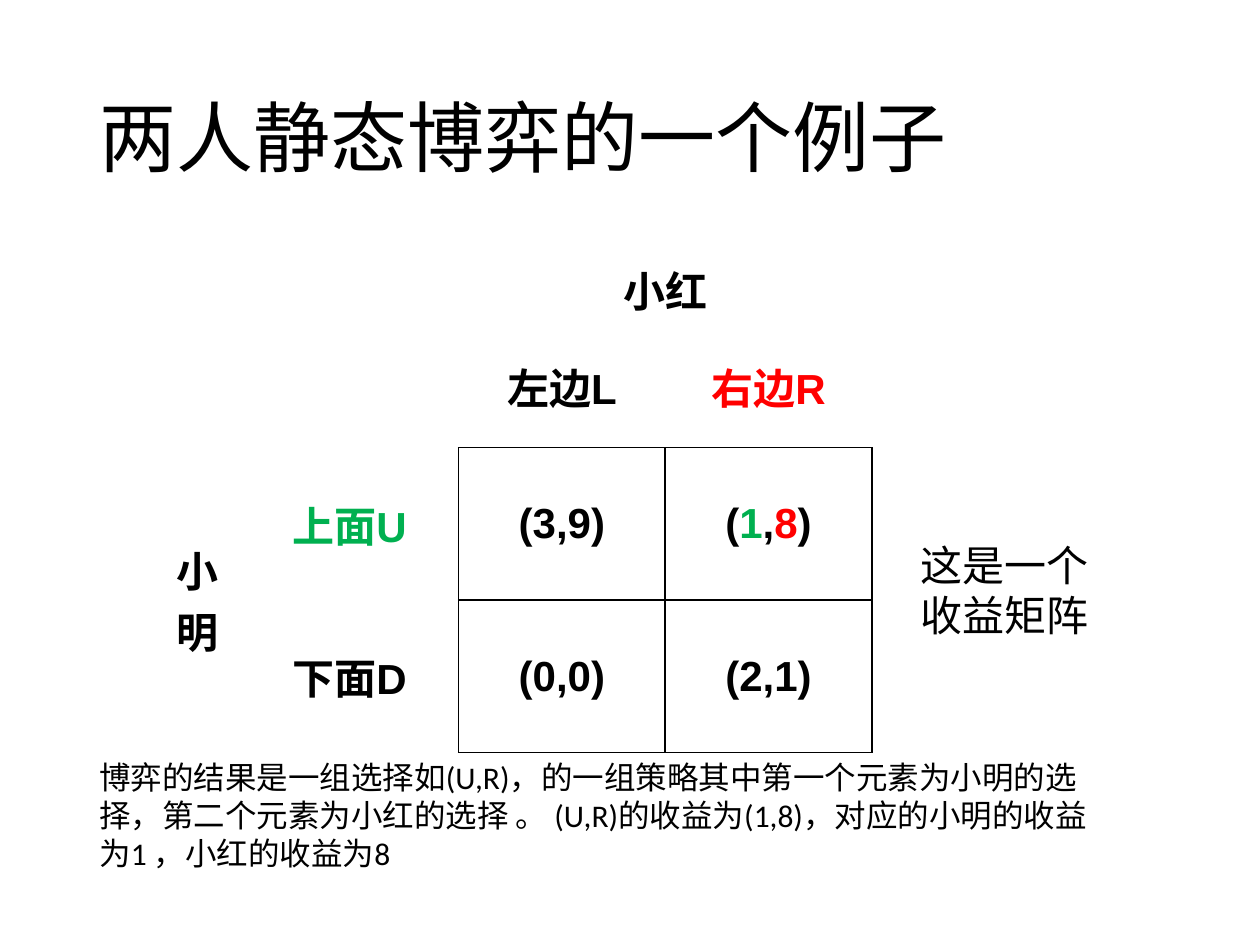
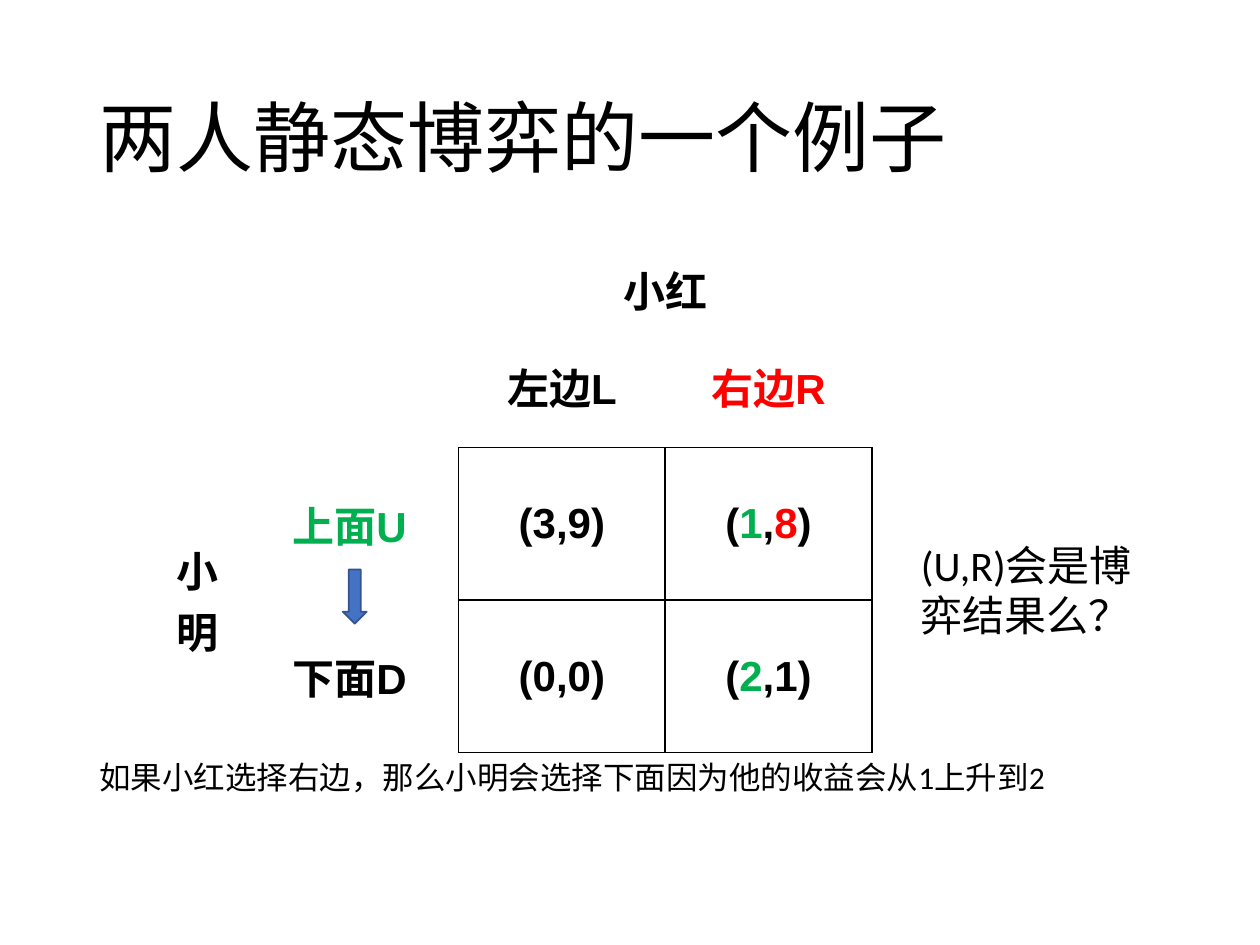
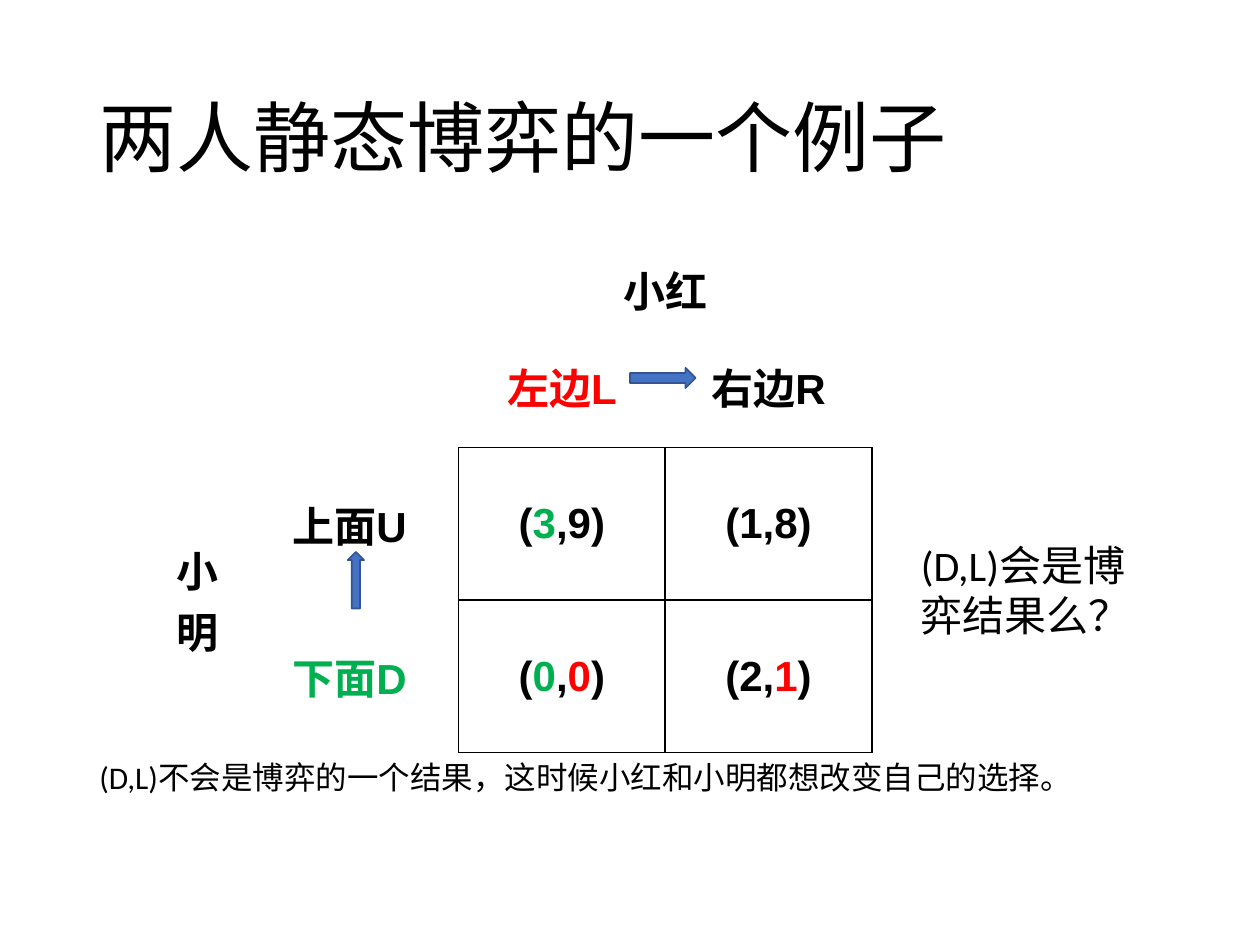
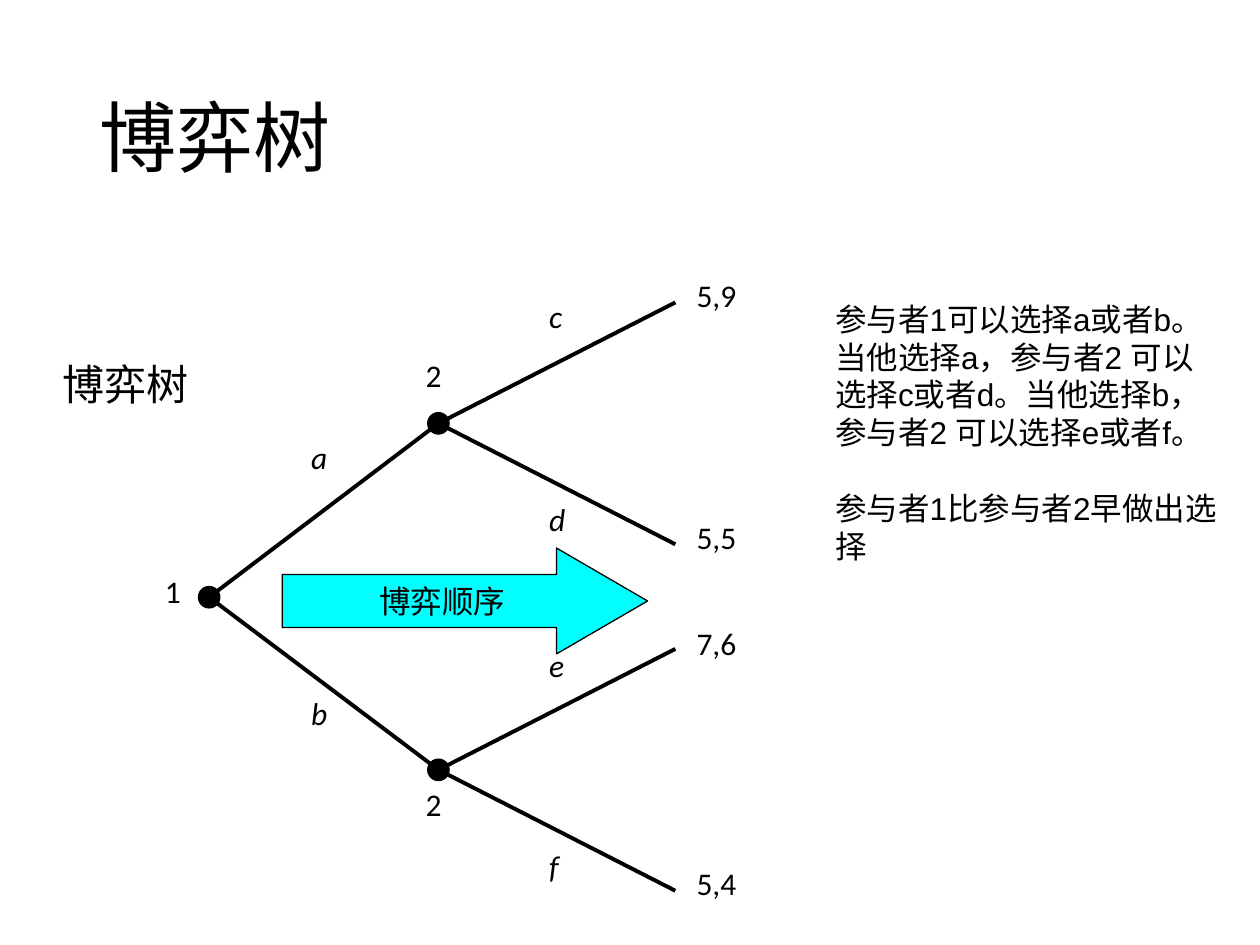
from collections import namedtuple

from lxml import etree
from pptx import Presentation
from pptx.dml.color import RGBColor
from pptx.enum import shapes, text
from pptx.oxml import ns
from pptx.util import Inches, Pt

BLACK = RGBColor(0x00, 0x00, 0x00)
RED = RGBColor(0xFF, 0x00, 0x00)
GREEN = RGBColor(0x00, 0xB0, 0x50)
CYAN = RGBColor(0x00, 0xFF, 0xFF)
ARROW_FILL = RGBColor(0x44, 0x72, 0xC4)
ARROW_LINE = RGBColor(0x32, 0x54, 0x91)

BODY_FONT = "Calibri"
TABLE_FONT = "Arial"
GAME_TITLE = "两人静态博弈的一个例子"

Box = namedtuple("Box", "left top width height")
TITLE_BOX = Box(0.69, 0.4, 8.62, 1.45)
MATRIX_BOX = Box(1.23, 2, 5.69, 3.88)
TREE_BOX = Box(0.4, 2.14, 5.7, 5.17)
COLUMN_WIDTHS = (0.68, 1.73, 1.64, 1.64)
ROW_HEIGHTS = (0.49, 0.97, 1.21, 1.21)
NODE_SIZE = 0.17

DOWN = shapes.MSO_SHAPE.DOWN_ARROW, Box(1.49, 2.52, 0.19, 0.43)
UP = shapes.MSO_SHAPE.UP_ARROW, Box(1.53, 2.38, 0.13, 0.45)
RIGHT = shapes.MSO_SHAPE.RIGHT_ARROW, Box(3.77, 0.92, 0.52, 0.16)


def inches(box):
    """Turn a box in inches into slide lengths."""
    return [Inches(length) for length in box]


def inside(outer, box):
    """Move a box so that it is measured from the corner of another."""
    return Box(outer.left + box.left, outer.top + box.top, box.width, box.height)


def add_run(paragraph, words, size, font=BODY_FONT, color=BLACK, bold=False, italic=False):
    """Add one formatted run."""
    run = paragraph.add_run()
    run.text = words
    run.font.size = Pt(size)
    run.font.name = font
    run.font.color.rgb = color
    run.font.bold = bold
    run.font.italic = italic


def add_text(slide, box, *lines, size=18, wrap=True, space=0, **style):
    """Add a text box with one paragraph per line and space before the last."""
    frame = slide.shapes.add_textbox(*inches(box)).text_frame
    frame.word_wrap = wrap
    frame.auto_size = text.MSO_AUTO_SIZE.SHAPE_TO_FIT_TEXT
    for index, line in enumerate(lines):
        paragraph = frame.add_paragraph() if index else frame.paragraphs[0]
        add_run(paragraph, line, size, **style)
    frame.paragraphs[-1].space_before = Pt(space)


def add_shape(slide, kind, box, fill, line, line_width):
    """Add a flat preset shape."""
    shape = slide.shapes.add_shape(kind, *inches(box))
    shape.shadow.inherit = False
    shape.fill.solid()
    shape.fill.fore_color.rgb = fill
    shape.line.color.rgb = line
    shape.line.width = Pt(line_width)
    return shape


def add_titled_slide(presentation, title):
    """Add a title-only slide in the shared title style."""
    slide = presentation.slides.add_slide(presentation.slide_layouts[5])
    shape = slide.shapes.title
    shape.left, shape.top, shape.width, shape.height = inches(TITLE_BOX)
    frame = shape.text_frame
    frame.auto_size = text.MSO_AUTO_SIZE.NONE
    frame.vertical_anchor = text.MSO_ANCHOR.MIDDLE
    paragraph = frame.paragraphs[0]
    paragraph.alignment = text.PP_ALIGN.LEFT
    paragraph.line_spacing = 0.9
    add_run(paragraph, title, 44)
    return slide


def add_borders(cell, sides):
    """Draw thin black borders on the named sides of a cell."""
    properties = cell._tc.get_or_add_tcPr()
    for side in sides:
        line = etree.SubElement(properties, ns.qn(f"a:ln{side}"), w=str(Pt(1)))
        fill = etree.SubElement(line, ns.qn("a:solidFill"))
        etree.SubElement(fill, ns.qn("a:srgbClr"), val=str(BLACK))


def cell_borders(row, column):
    """Name the bordered sides of a cell in the payoff table."""
    if row >= 2 and column >= 2:
        return "LRTB"
    if row == 1 and column >= 2:
        return "B"
    return "R" if row >= 2 and column == 1 else ""


def add_matrix(slide, box, columns, rows):
    """Add the payoff table, whose cells are lists of (text, colour) runs."""
    table = slide.shapes.add_table(4, 4, *inches(box)).table
    table.first_row = table.horz_banding = False
    for column, width in zip(table.columns, COLUMN_WIDTHS):
        column.width = Inches(width)
    for row, height in zip(table.rows, ROW_HEIGHTS):
        row.height = Inches(height)
    table.cell(0, 2).merge(table.cell(0, 3))
    table.cell(2, 0).merge(table.cell(3, 0))
    contents = [
        [[], [], [("小红", BLACK)], []],
        [[], [], *columns],
        [[("小明", BLACK)], *rows[0]],
        [[], *rows[1]],
    ]
    for row, row_contents in enumerate(contents):
        for column, runs in enumerate(row_contents):
            cell = table.cell(row, column)
            add_borders(cell, cell_borders(row, column))
            cell.fill.background()
            cell.vertical_anchor = text.MSO_ANCHOR.MIDDLE
            paragraph = cell.text_frame.paragraphs[0]
            paragraph.alignment = text.PP_ALIGN.CENTER
            paragraph.font.size = Pt(24)
            for words, color in runs:
                add_run(paragraph, words, 24, TABLE_FONT, color, bold=True)


def add_game_slide(presentation, columns, rows, remark, remark_width, note, note_height, arrows=()):
    """Add a slide with a payoff table, a remark beside it and a note below."""
    slide = add_titled_slide(presentation, GAME_TITLE)
    add_matrix(slide, MATRIX_BOX, columns, rows)
    add_text(slide, Box(0.69, 5.97, 8.2, note_height), note)
    add_text(slide, Box(7.21, 4.23, remark_width, 0.91), remark, size=24)
    for kind, box in arrows:
        add_shape(slide, kind, inside(MATRIX_BOX, box), ARROW_FILL, ARROW_LINE, 1)


def add_branch(slide, start, end):
    """Draw a tree branch between two points."""
    points = [Inches(length) for length in (*start, *end)]
    branch = slide.shapes.add_connector(shapes.MSO_CONNECTOR.STRAIGHT, *points)
    branch.line.color.rgb = BLACK
    branch.line.width = Pt(2.25)
    etree.SubElement(branch._element.spPr, ns.qn("a:effectLst"))


def add_tree(slide, box):
    """Draw the two-stage game tree with its labels."""
    def point(x, y):
        return box.left + x, box.top + y

    def label(x, y, words, width=0.38, **style):
        add_text(slide, Box(*point(x, y), width, 0.5), words, wrap=False, **style)

    root = point(1.26, 2.6)
    stages = [
        (1.22, 0.64, ("a", 1.29), [("c", 0.17, "5,9", 0), ("d", 1.78, "5,5", 1.92)]),
        (3.97, 4.04, ("b", 3.32), [("e", 2.94, "7,6", 2.76), ("f", 4.53, "5,4", 4.67)]),
    ]
    nodes = [root]
    label(0.81, 2.35, "1")
    for node_y, player_y, (move, move_y), replies in stages:
        node = point(3.08, node_y)
        nodes.append(node)
        add_branch(slide, root, node)
        label(2.88, player_y, "2")
        label(1.97, move_y, move, italic=True)
        for (reply, reply_y, payoff, payoff_y), rise in zip(replies, (-0.96, 0.96)):
            add_branch(slide, node, point(4.96, node_y + rise))
            label(3.86, reply_y, reply, italic=True)
            label(5.03, payoff_y, payoff, 0.67)
    for x, y in nodes:
        dot = Box(x - NODE_SIZE / 2, y - NODE_SIZE / 2, NODE_SIZE, NODE_SIZE)
        add_shape(slide, shapes.MSO_SHAPE.OVAL, dot, BLACK, BLACK, 0.75)
    label(0, 0.66, "博弈树", 1.21, size=24)


def add_order_arrow(slide, box):
    """Add the wide arrow that shows the order of play."""
    arrow = add_shape(slide, shapes.MSO_SHAPE.RIGHT_ARROW, box, CYAN, BLACK, 0.75)
    arrow.adjustments[0] = 0.5
    arrow.adjustments[1] = 0.86
    frame = arrow.text_frame
    frame.word_wrap = False
    frame.vertical_anchor = text.MSO_ANCHOR.MIDDLE
    paragraph = frame.paragraphs[0]
    paragraph.alignment = text.PP_ALIGN.CENTER
    add_run(paragraph, "博弈顺序", 18)


def add_tree_slide(presentation):
    """Add the slide that explains the game tree."""
    slide = add_titled_slide(presentation, "博弈树")
    add_tree(slide, TREE_BOX)
    add_text(
        slide,
        Box(6.53, 2.33, 3.28, 2.22),
        "参与者1可以选择a或者b。",
        "当他选择a，参与者2 可以选择c或者d。当他选择b，参与者2 可以选择e或者f。",
        "参与者1比参与者2早做出选择",
        space=21.6,
        font=TABLE_FONT,
    )
    add_order_arrow(slide, inside(TREE_BOX, Box(1.84, 2.21, 2.9, 0.84)))


def main():
    """Build and save the four slides."""
    presentation = Presentation()
    presentation.slide_width = Inches(10)
    presentation.slide_height = Inches(7.5)

    right_chosen = [[("左边L", BLACK)], [("右边R", RED)]]
    left_chosen = [[("左边L", RED)], [("右边R", BLACK)]]
    up_row = [
        [("上面U", GREEN)],
        [("(3,9)", BLACK)],
        [("(", BLACK), ("1", GREEN), (",", BLACK), ("8", RED), (")", BLACK)],
    ]
    down_row = [[("下面D", BLACK)], [("(0,0)", BLACK)]]

    add_game_slide(
        presentation, right_chosen, [up_row, [*down_row, [("(2,1)", BLACK)]]],
        "这是一个收益矩阵", 1.55,
        "博弈的结果是一组选择如(U,R)，的一组策略其中第一个元素为小明的选择，"
        "第二个元素为小红的选择 。 (U,R)的收益为(1,8)，对应的小明的收益为1 ，小红的收益为8",
        1.01,
    )
    add_game_slide(
        presentation, right_chosen,
        [up_row, [*down_row, [("(", BLACK), ("2", GREEN), (",1)", BLACK)]]],
        "(U,R)会是博弈结果么？", 2.02,
        "如果小红选择右边，那么小明会选择下面因为他的收益会从1上升到2", 0.4, [DOWN],
    )
    add_game_slide(
        presentation, left_chosen,
        [
            [[("上面U", BLACK)], [("(", BLACK), ("3", GREEN), (",9)", BLACK)], [("(1,8)", BLACK)]],
            [
                [("下面D", GREEN)],
                [("(", BLACK), ("0", GREEN), (",", BLACK), ("0", RED), (")", BLACK)],
                [("(2,", BLACK), ("1", RED), (")", BLACK)],
            ],
        ],
        "(D,L)会是博弈结果么？", 2.02,
        "(D,L)不会是博弈的一个结果，这时候小红和小明都想改变自己的选择。", 0.4, [RIGHT, UP],
    )
    add_tree_slide(presentation)
    presentation.save("out.pptx")


if __name__ == "__main__":
    main()
